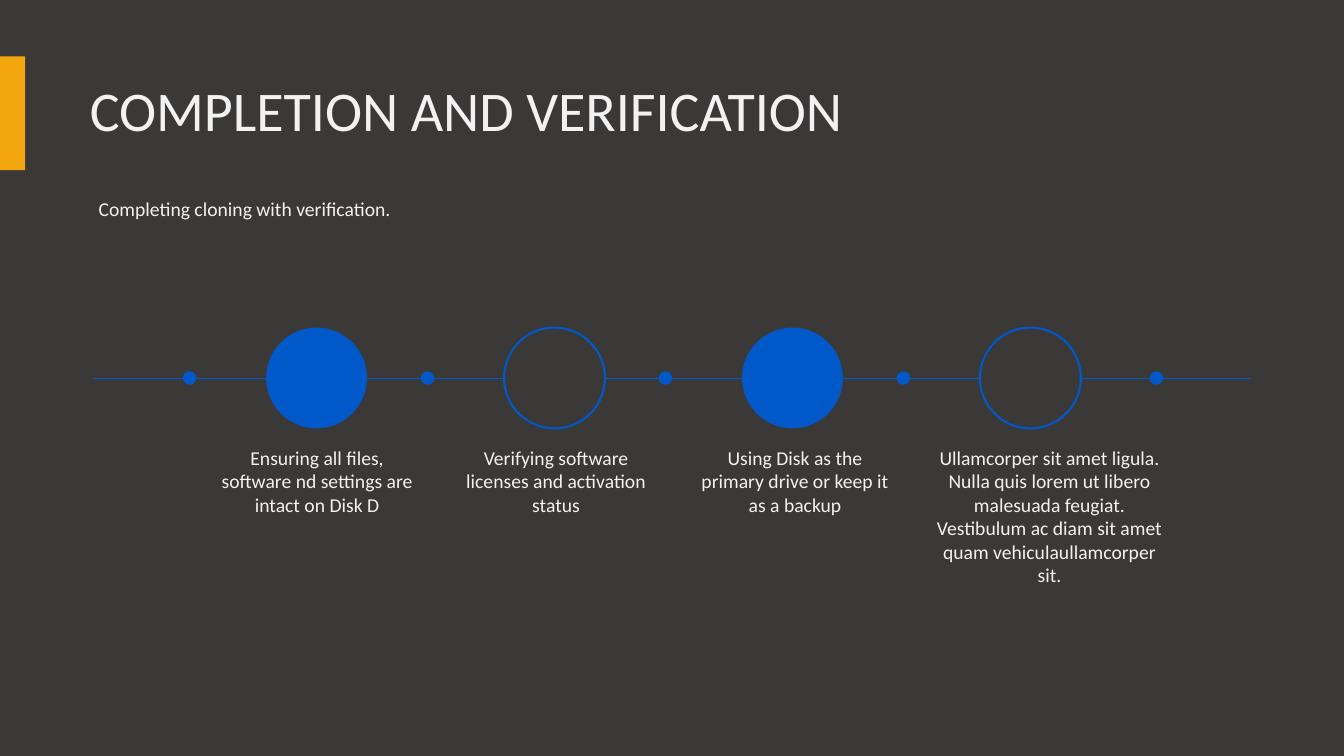
from lxml import etree
from pptx import Presentation, util as u
from pptx.dml.color import RGBColor
from pptx.enum import shapes, text
from pptx.oxml import ns

# Theme: colours, font and type sizes
theme = dict(back="3B3838", blue="0158C9", gold="F3A60D", ink="F2F2F2",
             font="Calibri", head=40, body=14)

# Timeline grid, in inches
step, axis = 2.36, 3.75
ring, dot = 1, 0.12
steps = [
    ("Ensuring all files, software nd settings are intact on Disk D", 2.19),
    ("Verifying software licenses and activation status", 2.19),
    ("Using Disk as the primary drive or keep it as a backup", 2.19),
    ("Ullamcorper sit amet ligula. Nulla quis lorem ut libero malesuada "
     "feugiat. Vestibulum ac diam sit amet quam vehiculaullamcorper sit.", 2.5),
]

deck = Presentation()
deck.slide_width, deck.slide_height = u.Inches(13.33), u.Inches(7.5)
slide = deck.slides.add_slide(deck.slide_layouts[5])
slide.background.fill.solid()
slide.background.fill.fore_color.rgb = RGBColor.from_string(theme["back"])


def draw(kind, box, fill, line=None, width=1):
    item = slide.shapes.add_shape(kind, *map(u.Inches, box))
    item.shadow.inherit = False
    item.fill.solid()
    item.fill.fore_color.rgb = RGBColor.from_string(theme[fill])
    if line:
        item.line.color.rgb = RGBColor.from_string(theme[line])
        item.line.width = u.Pt(width)
    else:
        item.line.fill.background()


def write(item, words, size, align, space=1.0, **form):
    frame = item.text_frame
    form = dict(word_wrap=True, auto_size=text.MSO_AUTO_SIZE.NONE) | form
    for key, val in form.items():
        setattr(frame, key, val)
    frame.text = words
    para = frame.paragraphs[0]
    para.alignment, para.line_spacing = align, space
    for key, val in dict(name=theme["font"], size=u.Pt(theme[size])).items():
        setattr(para.font, key, val)
    para.font.color.rgb = RGBColor.from_string(theme["ink"])


left, mid = text.PP_ALIGN.LEFT, text.PP_ALIGN.CENTER
oval = shapes.MSO_SHAPE.OVAL

# Title with its accent bar
draw(shapes.MSO_SHAPE.RECTANGLE, (-0.01, 0.56, 0.26, 1.13), "gold")
title = slide.shapes.title
for key, val in dict(left=0.79, top=0.4, width=11.63, height=1.45).items():
    setattr(title, key, u.Inches(val))
write(title, "COMPLETION AND VERIFICATION", "head", left, 0.9,
      vertical_anchor=text.MSO_ANCHOR.MIDDLE)

# Subtitle
note = slide.shapes.add_textbox(*map(u.Inches, (0.88, 1.9, 11.53, 0.34)))
write(note, "Completing cloning with verification.", "body", left)

# Axis
rail = slide.shapes.add_connector(
    shapes.MSO_CONNECTOR.STRAIGHT, *map(u.Inches, (0.92, axis, 12.41, axis)))
rail.line.color.rgb = RGBColor.from_string(theme["blue"])
rail.line.width = u.Pt(0.5)
etree.SubElement(rail._element.spPr, ns.qn("a:effectLst"))

# Small dots: one before each step and one at the end
for x in [1.82 + step * i for i in range(len(steps))] + [11.41]:
    draw(oval, (x, axis - dot / 2, dot, dot), "blue", "blue")

# Steps: filled and open circles in turn, each with its label
for i, (words, wide) in enumerate(steps):
    look = ("back", "blue", 1.5) if i % 2 else ("blue",)
    draw(oval, (2.64 + step * i, axis - ring / 2, ring, ring), *look)
    high = 1.51 if wide > 2.19 else 0.81
    label = slide.shapes.add_textbox(
        *map(u.Inches, (2.05 + 2.37 * i, 4.37, wide, high)))
    write(label, words, "body", mid)

deck.save("out.pptx")
